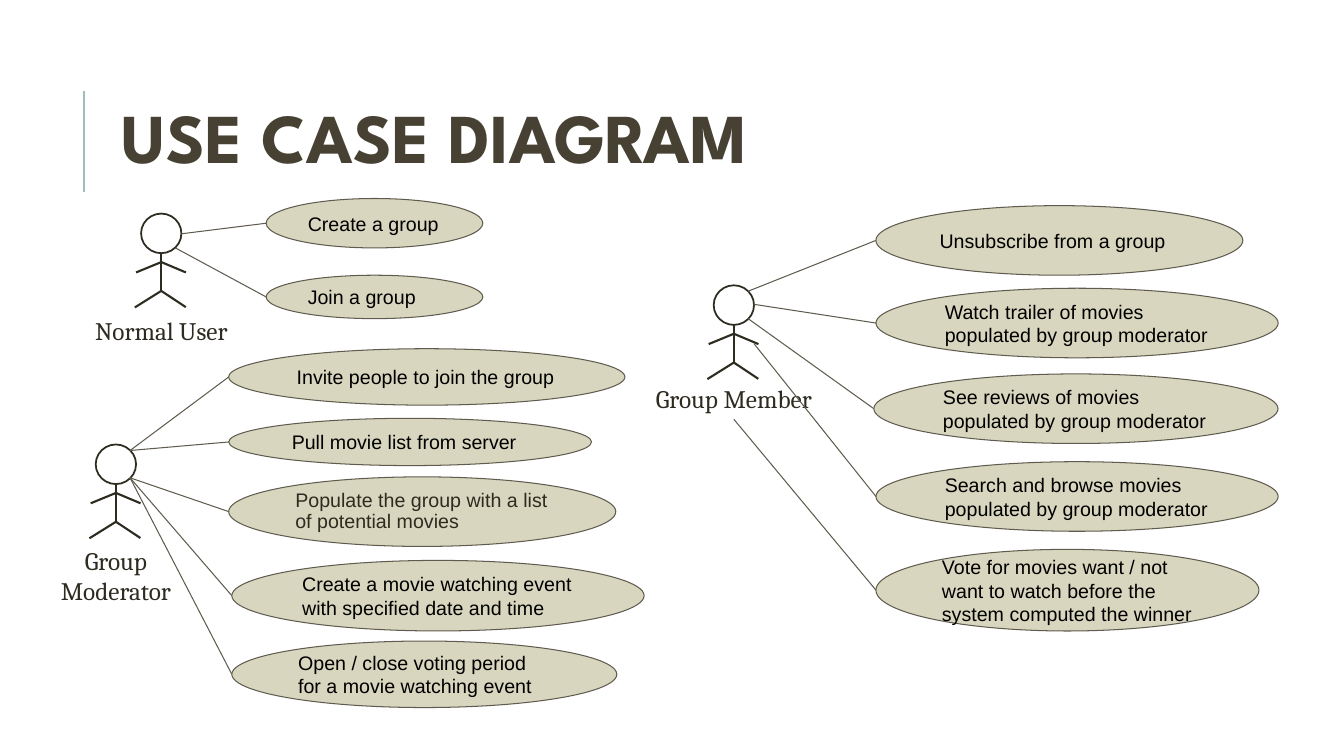
"""Build a use case diagram slide with three actors and their use cases."""
from typing import NamedTuple

from lxml import etree
from pptx import Presentation
from pptx.dml.color import RGBColor
from pptx.enum.shapes import MSO_CONNECTOR, MSO_SHAPE
from pptx.enum.text import MSO_ANCHOR, MSO_AUTO_SIZE, PP_ALIGN
from pptx.oxml.ns import qn
from pptx.util import Pt

STRAIGHT = MSO_CONNECTOR.STRAIGHT
ELLIPSE = MSO_SHAPE.OVAL
MIDDLE, TOP = MSO_ANCHOR.MIDDLE, MSO_ANCHOR.TOP
LEFT, CENTER = PP_ALIGN.LEFT, PP_ALIGN.CENTER
NO_AUTOFIT = MSO_AUTO_SIZE.NONE
TITLE_ONLY = 5

COLORS = {
    "accent": "9CBEBD",
    "title": "464132",
    "ink": "2E2B21",
    "outline": "605B4F",
    "bubble": "D8D6BE",
    "white": "FFFFFF",
    "black": "000000",
}

HEAD_WIDTH, HEAD_HEIGHT = 28.8, 28.3
LABEL_WIDTH, LABEL_HEIGHT = 127.4, 28.8
LIMBS = [
    (0, 28.1, 0, 56.2),
    (0, 34.6, -18, 42),
    (0, 34.6, 17.6, 42),
    (0, 55.2, -18.9, 67),
    (0, 55.2, 17.5, 66.8),
]


class UseCase(NamedTuple):
    """A bubble and the point where its line leaves the actor."""

    text: str
    left: float
    top: float
    width: float
    height: float
    start: tuple[float, float]
    color: str = "black"
    spacing: float = 1.0


class Actor(NamedTuple):
    """A stick figure with its label and use cases."""

    name: str
    center: float
    top: float
    label_top: float
    use_cases: list[UseCase]


MODERATOR_UPPER, MODERATOR_LOWER = (92.9, 321.8), (92.9, 341.3)

ACTORS = [
    Actor("Normal User", 115.2, 152.6, 221.8, [
        UseCase("Create a group", 190.1, 141.8, 154.8, 35.3, (129.6, 167)),
        UseCase("Join a group", 190.1, 196.6, 154.8, 31, (125.3, 177.1)),
    ]),
    Actor("Group Moderator", 82.8, 317.5, 385.9, [
        UseCase("Invite people to join the group", 163.4, 249.1, 283, 40.3, MODERATOR_UPPER),
        UseCase("Pull movie list from server", 163.4, 298.8, 259.2, 33.8, MODERATOR_UPPER),
        UseCase("Populate the group with a list of potential movies",
                163.4, 340.6, 276.5, 49.7, MODERATOR_LOWER, "ink", 0.9),
        UseCase("Create a movie watching event with specified date and time",
                165.6, 400.3, 294.5, 50.4, MODERATOR_LOWER),
        UseCase("Open / close voting period for a movie watching event",
                165.6, 457.9, 275, 47.5, MODERATOR_LOWER),
    ]),
    Actor("Group Member", 524.2, 203.8, 270, [
        UseCase("Unsubscribe from a group", 625.7, 146.9, 262.1, 49.7, (534.2, 208.1)),
        UseCase("Watch trailer of movies populated by group moderator",
                625.7, 205.9, 287.3, 49.7, (538.6, 217.4)),
        UseCase("See reviews of movies populated by group moderator",
                624.2, 267.1, 288.7, 49.7, (534.2, 227.5)),
        UseCase("Search and browse movies populated by group moderator",
                625.7, 329.8, 287.3, 49.7, (538.6, 245.5)),
        UseCase("Vote for movies want / not want to watch before the system computed the winner",
                625.7, 392.4, 273.6, 58.3, (524.2, 299.5)),
    ]),
]


def rgb(name: str) -> RGBColor:
    """Return a palette colour."""
    return RGBColor.from_string(COLORS[name])


def write_text(shape, text: str, *, font: str, size: float, color: str, bold: bool = False,
               align=LEFT, anchor=MIDDLE, spacing: float = 1.0,
               insets: tuple[float, float, float, float] = (7.2, 3.6, 7.2, 3.6)) -> None:
    """Put formatted text into a shape; insets run left, top, right, bottom."""
    frame = shape.text_frame
    frame.word_wrap = True
    frame.auto_size = NO_AUTOFIT
    frame.vertical_anchor = anchor
    frame.margin_left, frame.margin_top, frame.margin_right, frame.margin_bottom = map(Pt, insets)
    paragraph = frame.paragraphs[0]
    paragraph.alignment = align
    paragraph.line_spacing = spacing
    run = paragraph.add_run()
    run.text = text
    run.font.name = font
    run.font.size = Pt(size)
    run.font.bold = bold
    run.font.color.rgb = rgb(color)


def draw_line(shapes, points: tuple[float, float, float, float], color: str, width: float) -> None:
    """Draw a straight line without a shadow."""
    connector = shapes.add_connector(STRAIGHT, *map(Pt, points))
    connector.line.color.rgb = rgb(color)
    connector.line.width = Pt(width)
    etree.SubElement(connector._element.spPr, qn("a:effectLst"))


def draw_ellipse(shapes, box: tuple[float, float, float, float], fill: str, line: str, width: float):
    """Draw a filled ellipse and return it."""
    shape = shapes.add_shape(ELLIPSE, *map(Pt, box))
    shape.shadow.inherit = False
    shape.fill.solid()
    shape.fill.fore_color.rgb = rgb(fill)
    shape.line.color.rgb = rgb(line)
    shape.line.width = Pt(width)
    return shape


def draw_use_case(shapes, case: UseCase) -> None:
    """Draw a bubble and the line to the middle of its left side."""
    draw_line(shapes, (*case.start, case.left, case.top + case.height / 2), "outline", 0.75)
    bubble = draw_ellipse(shapes, (case.left, case.top, case.width, case.height),
                          "bubble", "outline", 0.75)
    write_text(bubble, case.text, font="Arial", size=14, color=case.color,
               spacing=case.spacing, insets=(7.2, 7.2, 6, 7.2))


def draw_actor(shapes, actor: Actor) -> None:
    """Draw a grouped stick figure with its label."""
    figure = shapes.add_group_shape().shapes
    draw_ellipse(figure, (actor.center - HEAD_WIDTH / 2, actor.top, HEAD_WIDTH, HEAD_HEIGHT),
                 "white", "ink", 1.25)
    for x1, y1, x2, y2 in LIMBS:
        draw_line(figure, (actor.center + x1, actor.top + y1, actor.center + x2, actor.top + y2),
                  "ink", 1.5)
    label = figure.add_textbox(Pt(actor.center - LABEL_WIDTH / 2), Pt(actor.label_top),
                               Pt(LABEL_WIDTH), Pt(LABEL_HEIGHT))
    write_text(label, actor.name, font="Cambria", size=18, color="ink", align=CENTER, anchor=TOP)


def main() -> None:
    """Build and save the presentation."""
    presentation = Presentation()
    presentation.slide_width, presentation.slide_height = Pt(960), Pt(540)
    slide = presentation.slides.add_slide(presentation.slide_layouts[TITLE_ONLY])
    draw_line(slide.shapes, (60, 136.8, 60, 64.8), "accent", 1.5)
    title = slide.shapes.title
    title.left, title.top, title.width, title.height = map(Pt, (79.9, 43.2, 765.4, 118))
    write_text(title, "USE CASE DIAGRAM", font="League Spartan", size=50, color="title",
               bold=True, spacing=0.8)
    for actor in ACTORS:
        draw_actor(slide.shapes, actor)
        for case in actor.use_cases:
            draw_use_case(slide.shapes, case)
    presentation.save("out.pptx")


main()
